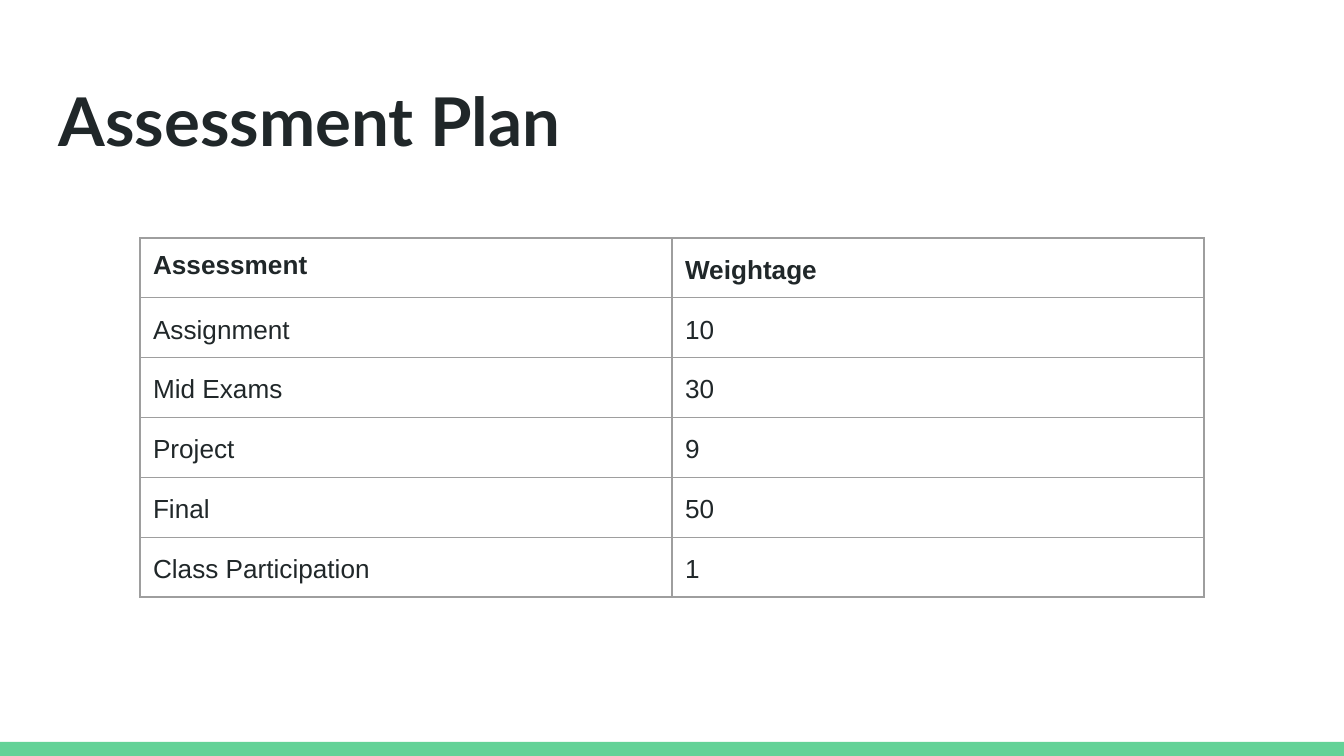
"""Build the assessment plan slide with its weightage table."""
from dataclasses import dataclass
from typing import NamedTuple

from lxml import etree
from pptx import Presentation
from pptx import util as u
from pptx.dml import color
from pptx.enum import shapes, text
from pptx.oxml import ns

EMU_PER_PX = 6350


class Box(NamedTuple):
    left: int
    top: int
    width: int
    height: int


class Entry(NamedTuple):
    assessment: str
    weightage: str


@dataclass(frozen=True)
class Theme:
    ink: str = "202729"
    accent: str = "63D297"
    border: str = "9E9E9E"
    title_font: str = "Lato"
    body_font: str = "Arial"
    title_size: int = 36
    body_size: int = 14
    border_width: float = 0.75
    line_spacing: float = 1.15
    inset: int = 14


THEME = Theme()
PAGE = Box(0, 0, 1440, 810)
TITLE = Box(49, 71, 1342, 91)
FOOTER = Box(0, 795, 1440, 15)
TABLE = Box(150, 255, 1140, 360)
HEADER = Entry("Assessment", "Weightage")
ENTRIES = [
    Entry("Assignment", "10"),
    Entry("Mid Exams", "30"),
    Entry("Project", "9"),
    Entry("Final", "50"),
    Entry("Class Participation", "1"),
]


def px(length: int) -> u.Emu:
    return u.Emu(length * EMU_PER_PX)


def place(box: Box) -> list[u.Emu]:
    return [px(length) for length in box]


def set_insets(holder) -> None:
    holder.margin_left = holder.margin_right = px(THEME.inset)
    holder.margin_top = holder.margin_bottom = px(THEME.inset)


def style(para, font_name: str, size: int, bold: bool) -> None:
    para.alignment = text.PP_ALIGN.LEFT
    para.font.name = font_name
    para.font.size = u.Pt(size)
    para.font.bold = bold
    para.font.color.rgb = color.RGBColor.from_string(THEME.ink)


def add_footer(page) -> None:
    bar = page.shapes.add_shape(shapes.MSO_SHAPE.RECTANGLE, *place(FOOTER))
    bar.shadow.inherit = False
    bar.fill.solid()
    bar.fill.fore_color.rgb = color.RGBColor.from_string(THEME.accent)
    bar.line.fill.background()


def add_title(page, wording: str) -> None:
    title = page.shapes.title
    title.left, title.top, title.width, title.height = place(TITLE)
    frame = title.text_frame
    frame.text = wording
    frame.word_wrap = True
    frame.auto_size = text.MSO_AUTO_SIZE.NONE
    frame.vertical_anchor = text.MSO_ANCHOR.TOP
    set_insets(frame)
    style(frame.paragraphs[0], THEME.title_font, THEME.title_size, True)


def add_borders(cell) -> None:
    properties = cell._tc.get_or_add_tcPr()
    for position, side in enumerate(("lnL", "lnR", "lnT", "lnB")):
        line = etree.Element(ns.qn(f"a:{side}"), w=str(u.Pt(THEME.border_width)))
        fill = etree.SubElement(line, ns.qn("a:solidFill"))
        etree.SubElement(fill, ns.qn("a:srgbClr"), val=THEME.border)
        properties.insert(position, line)


def fill_cell(cell, wording: str, bold: bool) -> None:
    cell.text = wording
    cell.fill.background()
    set_insets(cell)
    style(cell.text_frame.paragraphs[0], THEME.body_font, THEME.body_size, bold)
    add_borders(cell)


def add_assessment_table(page) -> None:
    rows = [HEADER, *ENTRIES]
    table = page.shapes.add_table(len(rows), len(HEADER), *place(TABLE)).table
    table.first_row = table.horz_banding = False
    for row_index, entry in enumerate(rows):
        for column_index, wording in enumerate(entry):
            cell = table.cell(row_index, column_index)
            fill_cell(cell, wording, entry is HEADER)
            if (row_index, column_index) != (0, 0):
                cell.text_frame.paragraphs[0].line_spacing = THEME.line_spacing


def main() -> None:
    deck = Presentation()
    deck.slide_width, deck.slide_height = px(PAGE.width), px(PAGE.height)
    page = deck.slides.add_slide(deck.slide_layouts.get_by_name("Title Only"))
    add_footer(page)
    add_title(page, "Assessment Plan")
    add_assessment_table(page)
    deck.save("out.pptx")


if __name__ == "__main__":
    main()
